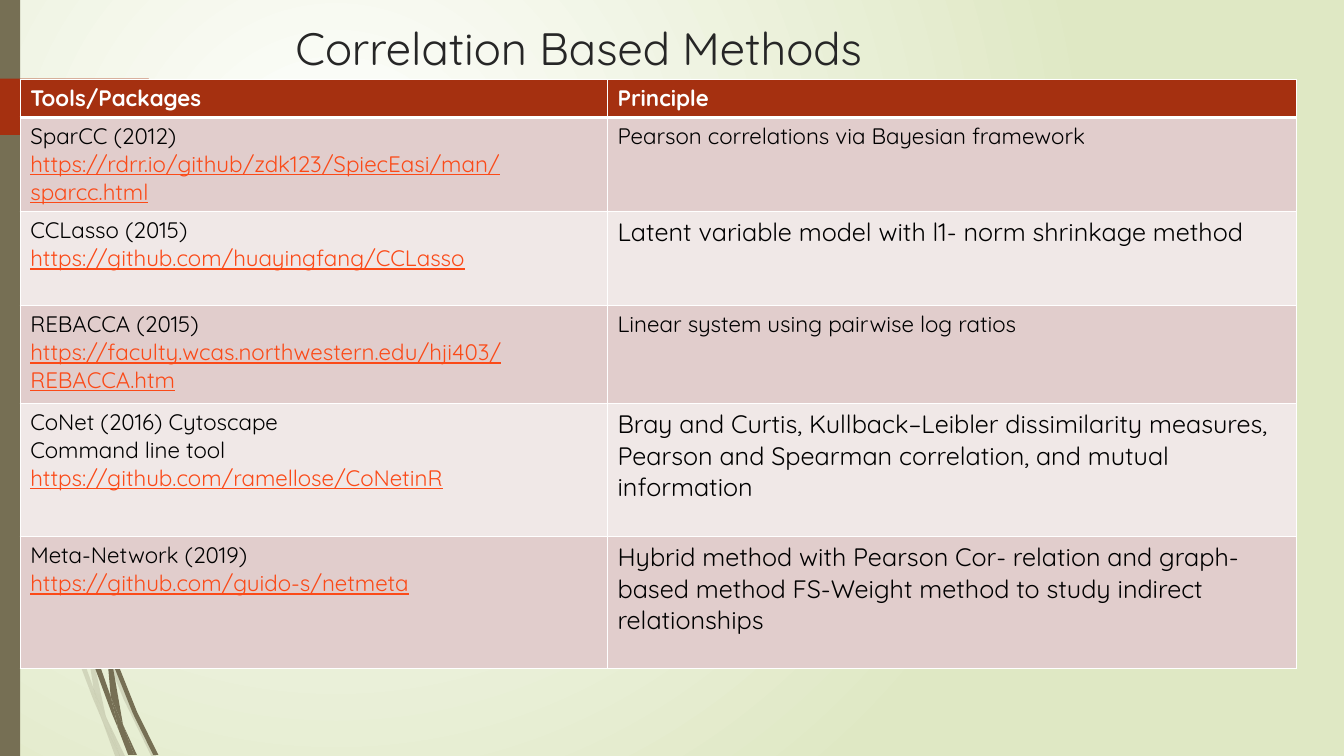
from lxml import etree
from pptx import Presentation
from pptx.dml.color import RGBColor
from pptx.enum.shapes import MSO_SHAPE
from pptx.enum.text import MSO_ANCHOR, MSO_AUTO_SIZE, PP_ALIGN
from pptx.oxml.ns import qn
from pptx.util import Cm, Pt

FONT = "Quicksand"
COLORS = {
    "white": "FFFFFF",
    "pale green": "DFE8C4",
    "olive": "766F54",
    "red": "A53010",
    "title": "262626",
    "text": "000000",
    "link": "FB4A18",
    "dark band": "E1CDCC",
    "light band": "F0E8E7",
}


def color(name):
    return RGBColor.from_string(COLORS[name])


def add_outline(shapes, points, fill_name, alpha=None):
    """Add a closed polygon without a line; points in cm, alpha in percent."""
    fine_points = [(x * 100, y * 100) for x, y in points]
    builder = shapes.build_freeform(*fine_points[0], scale=Cm(0.01))
    builder.add_line_segments(fine_points[1:], close=True)
    shape = builder.convert_to_shape()
    shape.shadow.inherit = False
    shape.line.fill.background()
    shape.fill.solid()
    shape.fill.fore_color.rgb = color(fill_name)
    if alpha:
        rgb = shape._element.spPr.find(".//" + qn("a:srgbClr"))
        etree.SubElement(rgb, qn("a:alpha"), val=str(alpha * 1000))


presentation = Presentation()
presentation.slide_width, presentation.slide_height = Cm(33.87), Cm(19.05)
slide = presentation.slides.add_slide(presentation.slide_layouts[5])
shapes = slide.shapes

# Background: circular gradient
background = slide.background.fill
background.gradient()
for stop, name in zip(background.gradient_stops, ("white", "pale green")):
    stop.color.rgb = color(name)
gradient = slide._element.find(".//" + qn("a:gradFill"))
gradient.remove(gradient.find(qn("a:lin")))
circle = etree.SubElement(gradient, qn("a:path"), path="circle")
etree.SubElement(circle, qn("a:fillToRect"), l="50000", t="50000", r="100000", b="100000")

# Grass blades at the lower left
light_blades = [
    [(2.34, 15.42), (2.24, 15.14), (2.24, 15.49), (3.12, 17.63), (3.81, 19.05),
     (3.94, 19.05), (3.23, 17.58)],
    [(3.02, 19.05), (3.15, 19.05), (2.67, 18.06)],
    [(2.36, 17.35), (1.78, 15.72), (0.79, 11.91), (0.43, 9.55), (0.28, 8.89),
     (0.71, 11.94), (1.65, 15.77), (2.34, 17.6), (2.57, 18.14), (2.51, 17.96)],
    [(2.13, 15.21), (2.21, 16.41), (2.36, 17.35), (2.44, 17.58), (2.67, 18.06),
     (2.31, 16.41), (2.24, 15.44)],
    [(2.57, 18.14), (2.9, 19.05), (3.02, 19.05)],
    [(2.44, 17.58), (2.36, 17.35), (2.51, 17.96), (2.57, 18.14), (3.02, 19.05),
     (2.67, 18.06)],
]
dark_blades = [
    [(2.87, 16.48), (2.79, 16.28), (2.82, 16.66), (3.35, 17.98), (3.86, 19.02),
     (3.99, 19.02), (3.45, 17.93)],
    [(2.79, 17.55), (2.49, 16.69), (1.83, 14.12), (1.63, 12.83), (1.45, 12.12),
     (1.73, 14.15), (2.36, 16.74), (2.82, 17.98), (2.97, 18.34), (2.95, 18.21)],
    [(3.38, 19.02), (3.45, 19.02), (3.1, 18.26)],
    [(2.97, 18.34), (3.23, 19.02), (3.33, 19.02)],
    [(2.69, 16.38), (2.79, 17.55), (2.95, 17.93), (3.1, 18.26), (2.82, 16.66)],
    [(2.95, 17.93), (2.79, 17.55), (2.95, 18.21), (2.97, 18.34), (3.3, 19.02),
     (3.38, 19.02), (3.1, 18.26)],
]
for blade in light_blades:
    add_outline(shapes, blade, "olive", 20)
for blade in dark_blades:
    add_outline(shapes, blade, "olive")

# Left bar and red arrow tab
bar = shapes.add_shape(MSO_SHAPE.RECTANGLE, 0, 0, Cm(0.51), Cm(19.05))
bar.shadow.inherit = False
bar.fill.solid()
bar.fill.fore_color.rgb = color("olive")
bar.line.fill.background()
add_outline(shapes, [(0, 1.98), (3.74, 1.98), (4.42, 2.69), (3.74, 3.4), (0, 3.4)], "red")

# Title
title = shapes.title
title.left, title.top, title.width, title.height = Cm(7.19), Cm(0.38), Cm(15.98), Cm(1.63)
title.text_frame.text = "Correlation Based Methods"
title.text_frame.auto_size = MSO_AUTO_SIZE.NONE
title.text_frame.vertical_anchor = MSO_ANCHOR.MIDDLE
paragraph = title.text_frame.paragraphs[0]
paragraph.alignment = PP_ALIGN.LEFT
paragraph.font.name, paragraph.font.size = FONT, Pt(32.4)
paragraph.font.color.rgb = color("title")

# Methods table: tool lines, principle, principle size, row height in cm
methods = [
    (["Tools/Packages"], "Principle", 16, 0.95),
    (["SparCC (2012)", "https://rdrr.io/github/zdk123/SpiecEasi/man/sparcc.html"],
     "Pearson correlations via Bayesian framework", 16, 2.37),
    (["CCLasso (2015)", "https://github.com/huayingfang/CCLasso"],
     "Latent variable model with l1- norm shrinkage method", 18, 2.37),
    (["REBACCA (2015)", "https://faculty.wcas.northwestern.edu/hji403/REBACCA.htm"],
     "Linear system using pairwise log ratios", 16, 2.47),
    (["CoNet (2016) Cytoscape", "Command line tool",
      "https://github.com/ramellose/CoNetinR"],
     "Bray and Curtis, Kullback–Leibler dissimilarity measures, Pearson and Spearman "
     "correlation, and mutual information", 18, 3.35),
    (["Meta-Network (2019)", "https://github.com/guido-s/netmeta"],
     "Hybrid method with Pearson Cor- relation and graph-based method FS-Weight method "
     "to study indirect relationships", 18, 3.33),
]
table = shapes.add_table(len(methods), 2, Cm(0.51), Cm(2), Cm(32.17), Cm(14.84)).table
table.columns[0].width, table.columns[1].width = Cm(14.8), Cm(17.37)
for row, (tool_lines, principle, principle_size, height) in enumerate(methods):
    table.rows[row].height = Cm(height)
    is_header = row == 0
    band = "red" if is_header else "dark band" if row % 2 else "light band"
    for column, (lines, size) in enumerate([(tool_lines, 16), ([principle], principle_size)]):
        cell = table.cell(row, column)
        properties = cell._tc.get_or_add_tcPr()
        for side in ("lnL", "lnR", "lnT", "lnB"):
            is_thick = (row, side) in ((0, "lnB"), (1, "lnT"))
            width = Pt(3 if is_thick else 1)
            border = etree.SubElement(properties, qn("a:" + side), w=str(width))
            border_fill = etree.SubElement(border, qn("a:solidFill"))
            etree.SubElement(border_fill, qn("a:srgbClr"), val=COLORS["white"])
        cell.fill.solid()
        cell.fill.fore_color.rgb = color(band)
        cell.text = "\n".join(lines)
        for paragraph in cell.text_frame.paragraphs:
            is_link = paragraph.text.startswith("https")
            font = paragraph.font
            font.name, font.size = FONT, Pt(size)
            font.bold, font.underline = is_header, is_link
            font.color.rgb = color("white" if is_header else "link" if is_link else "text")

presentation.save("out.pptx")
